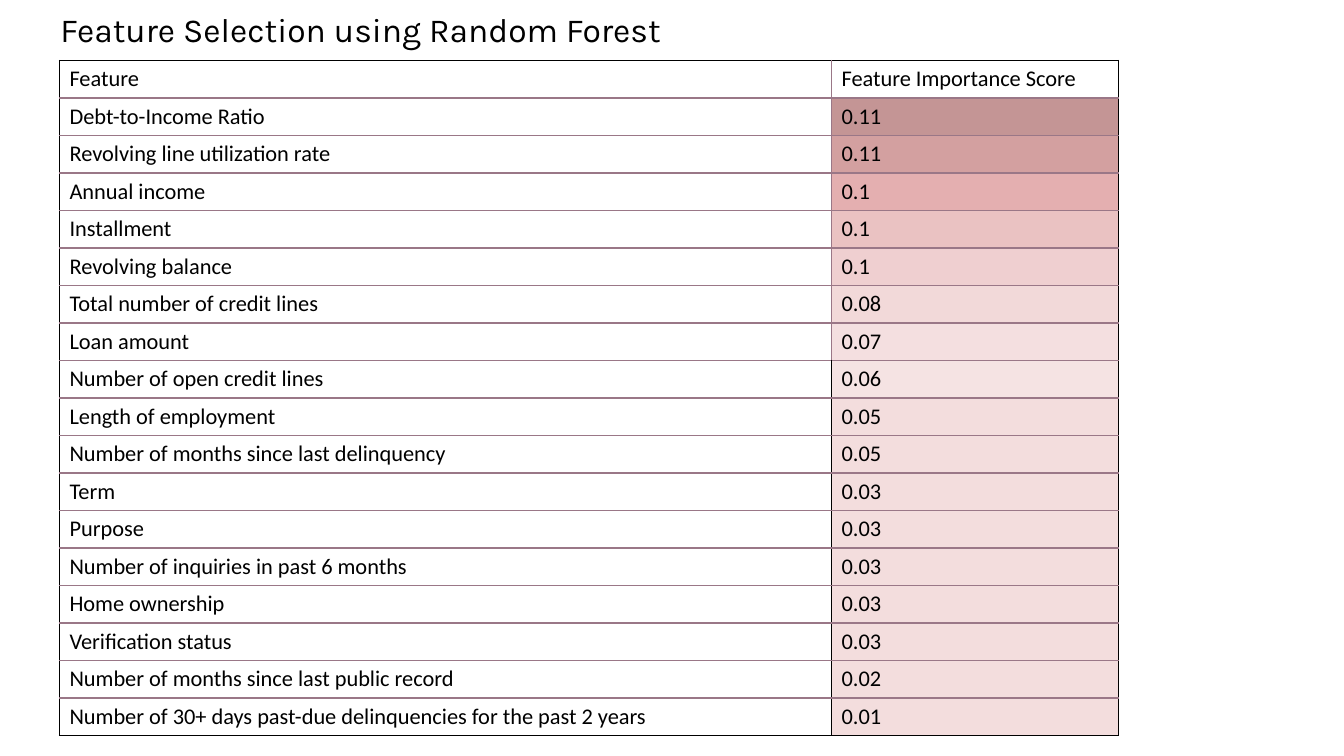
"""Build a slide with a table of features ranked by random forest score."""
from dataclasses import dataclass

from lxml.etree import SubElement as Sub
from pptx import Presentation as Deck
from pptx.dml.color import RGBColor as Rgb
from pptx.enum.text import MSO_ANCHOR as Anchor, MSO_AUTO_SIZE as Fit, PP_ALIGN as Align
from pptx.oxml.ns import qn
from pptx.slide import Slide
from pptx.table import _Cell as Cell
from pptx.util import Pt


@dataclass(frozen=True)
class Theme:
    """Hold the colours, fonts and sizes of the slide."""
    ink: str = "000000"
    rule: str = "9A7787"
    rose: str = "E4AFB0"
    dusk: str = "D3A0A0"
    deep: str = "C49595"
    head: str = "Karla"
    body: str = "Calibri"
    big: int = 24
    small: int = 16
    line: int = 1


@dataclass(frozen=True)
class Row:
    """Hold one feature, its score and the tint of the score."""
    name: str
    score: str
    tint: str = Theme.rose
    alpha: int = 42


LOOK = Theme()
SOFT = 8
ROWS = [
    Row("Feature", "Feature Importance Score", ""),
    Row("Debt-to-Income Ratio", "0.11", LOOK.deep, 100),
    Row("Revolving line utilization rate", "0.11", LOOK.dusk, 100),
    Row("Annual income", "0.1", LOOK.rose, 100),
    Row("Installment", "0.1", LOOK.rose, 76),
    Row("Revolving balance", "0.1", LOOK.rose, 59),
    Row("Total number of credit lines", "0.08", LOOK.rose, 47),
    Row("Loan amount", "0.07", LOOK.rose, 39),
    Row("Number of open credit lines", "0.06", LOOK.rose, 35),
    Row("Length of employment", "0.05"),
    Row("Number of months since last delinquency", "0.05"),
    Row("Term", "0.03"),
    Row("Purpose", "0.03"),
    Row("Number of inquiries in past 6 months", "0.03"),
    Row("Home ownership", "0.03"),
    Row("Verification status", "0.03"),
    Row("Number of months since last public record", "0.02"),
    Row("Number of 30+ days past-due delinquencies for the past 2 years", "0.01"),
]


def add_title(slide: Slide, text: str) -> None:
    """Place and format the title."""
    title = slide.shapes.title
    title.left, title.top, title.width, title.height = Pt(36), Pt(2), Pt(577.5), Pt(41)
    frame = title.text_frame
    frame.text = text
    frame.auto_size = Fit.NONE
    frame.vertical_anchor = Anchor.MIDDLE
    par = frame.paragraphs[0]
    par.alignment = Align.LEFT
    par.line_spacing = 0.9
    par.font.name, par.font.size = LOOK.head, Pt(LOOK.big)
    par.font.color.rgb = Rgb.from_string(LOOK.ink)


def add_edge(cell: Cell, side: str, tint: str) -> None:
    """Draw one border of a cell."""
    edge = Sub(cell._tc.get_or_add_tcPr(), qn(f"a:ln{side}"), w=str(Pt(LOOK.line)))
    Sub(Sub(edge, qn("a:solidFill")), qn("a:srgbClr"), val=tint)


def fill_cell(cell: Cell, tint: str, alpha: int) -> None:
    """Fill a cell with a tint, or leave it clear."""
    if not tint:
        cell.fill.background()
        return
    cell.fill.solid()
    cell.fill.fore_color.rgb = Rgb.from_string(tint)
    if alpha < 100:
        shade = cell._tc.tcPr.find(f"{qn('a:solidFill')}/{qn('a:srgbClr')}")
        Sub(shade, qn("a:alpha"), val=str(alpha * 1000))


def set_cell(cell: Cell, text: str, edges: dict[str, str], tint: str, alpha: int) -> None:
    """Write, border and fill one cell."""
    cell.text = text
    font = cell.text_frame.paragraphs[0].font
    font.name, font.size, font.bold = LOOK.body, Pt(LOOK.small), False
    font.color.rgb = Rgb.from_string(LOOK.ink)
    for side, shade in edges.items():
        add_edge(cell, side, shade)
    fill_cell(cell, tint, alpha)


def add_grid(slide: Slide, rows: list[Row]) -> None:
    """Add the table of features and scores."""
    wide, slim, high = Pt(551.5), Pt(204.75), Pt(26.4)
    grid = slide.shapes.add_table(
        len(rows), 2, Pt(42.5), Pt(43.2), wide + slim, high * len(rows)).table
    grid.first_row = grid.horz_banding = False
    grid.columns[0].width, grid.columns[1].width = wide, slim
    for num, row in enumerate(rows):
        grid.rows[num].height = high
        mid = LOOK.rule if num < SOFT else LOOK.ink
        top = LOOK.ink if num == 0 else LOOK.rule
        base = LOOK.ink if num == len(rows) - 1 else LOOK.rule
        left = {"L": LOOK.ink, "R": mid, "T": top, "B": base}
        right = {"L": mid, "R": LOOK.ink, "T": top, "B": base}
        set_cell(grid.cell(num, 0), row.name, left, "", 100)
        set_cell(grid.cell(num, 1), row.score, right, row.tint, row.alpha)


def main() -> None:
    """Build and save the deck."""
    deck = Deck()
    deck.slide_width, deck.slide_height = Pt(960), Pt(540)
    slide = deck.slides.add_slide(deck.slide_layouts[5])
    add_title(slide, "Feature Selection using Random Forest")
    add_grid(slide, ROWS)
    deck.save("out.pptx")


if __name__ == "__main__":
    main()
